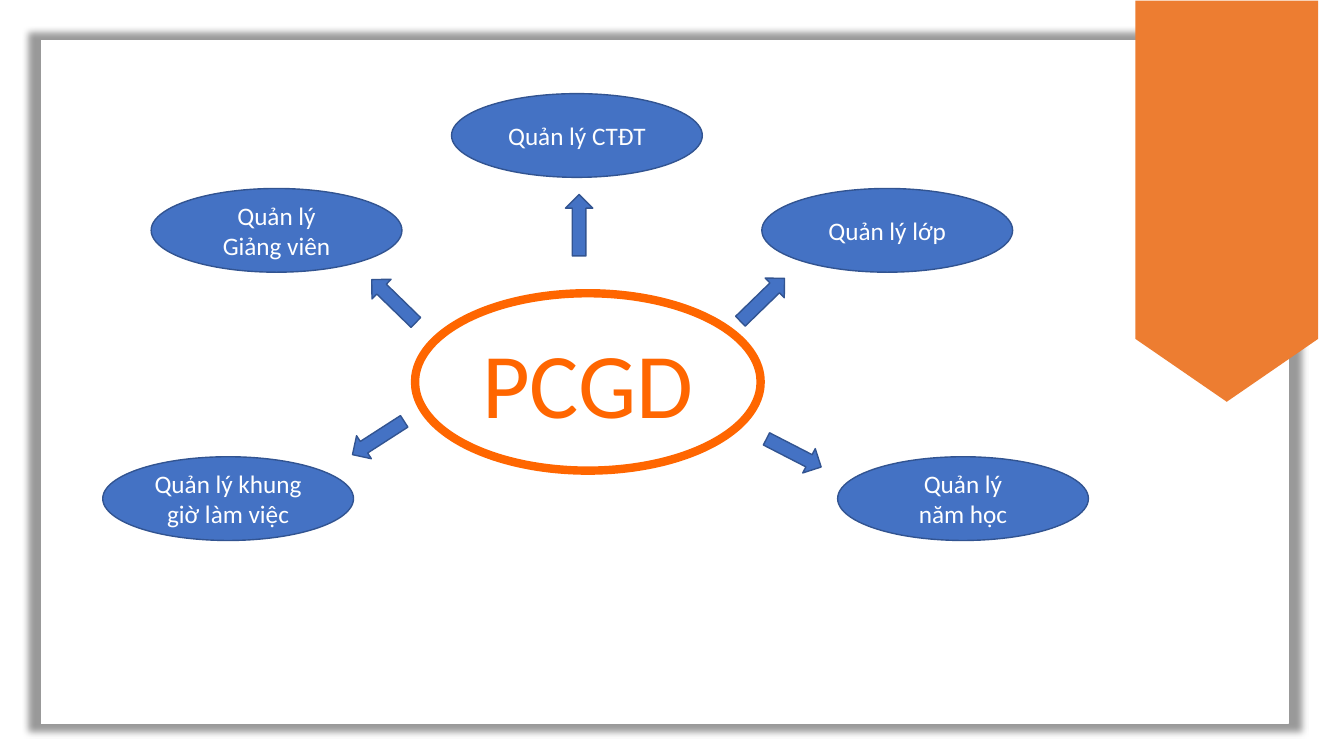
from lxml.etree import SubElement
from pptx import Presentation
from pptx.dml.color import RGBColor
from pptx.enum.shapes import MSO_SHAPE
from pptx.enum.text import MSO_ANCHOR, PP_ALIGN
from pptx.oxml.ns import qn
from pptx.util import Cm, Pt

WHITE = RGBColor(0xFF, 0xFF, 0xFF)
ORANGE = RGBColor(0xED, 0x7D, 0x31)
BRIGHT_ORANGE = RGBColor(0xFF, 0x66, 0x00)
BLUE = RGBColor(0x44, 0x72, 0xC4)
DARK_BLUE = RGBColor(0x32, 0x54, 0x91)

prs = Presentation()
prs.slide_width, prs.slide_height = Cm(33.87), Cm(19.05)
s = prs.slides.add_slide(prs.slide_layouts[6])


def add_shape(kind, left, top, width, height, fill, line=None, weight=1):
    sp = s.shapes.add_shape(kind, Cm(left), Cm(top), Cm(width), Cm(height))
    sp.shadow.inherit = False
    sp.fill.solid()
    sp.fill.fore_color.rgb = fill
    if line is None:
        sp.line.fill.background()
    else:
        sp.line.color.rgb = line
        sp.line.width = Pt(weight)
    return sp


def add_text(sp, lines, size, color):
    tf = sp.text_frame
    tf.word_wrap = True
    tf.vertical_anchor = MSO_ANCHOR.MIDDLE
    for i, line in enumerate(lines):
        p = tf.paragraphs[0] if i == 0 else tf.add_paragraph()
        p.alignment = PP_ALIGN.CENTER
        r = p.add_run()
        r.text = line
        r.font.name = "Calibri"
        r.font.size = Pt(size)
        r.font.color.rgb = color


# White panel with a soft shadow on all sides
panel = add_shape(MSO_SHAPE.RECTANGLE, 1.04, 1.02, 31.42, 17.22, WHITE, WHITE)
effects = panel._element.spPr.find(qn("a:effectLst"))
shadow = SubElement(effects, qn("a:outerShdw"), blurRad=str(Pt(5)), sx="102000",
                    sy="102000", algn="ctr", rotWithShape="0")
black = SubElement(shadow, qn("a:srgbClr"), val="000000")
SubElement(black, qn("a:alpha"), val="40000")

# Orange ribbon
ribbon = add_shape(MSO_SHAPE.PENTAGON, 25.86, 2.77, 10.11, 4.6, ORANGE)
ribbon.adjustments[0] = 0.344
ribbon.rotation = 90

# Central ellipse
center = add_shape(MSO_SHAPE.OVAL, 10.46, 7.39, 8.71, 4.47, WHITE, BRIGHT_ORANGE, 6)
add_text(center, ["PCGD"], 66, BRIGHT_ORANGE)

# Topics: left, top, lines
topics = [
    (11.38, 2.36, ["Quản lý CTĐT"]),
    (3.81, 4.75, ["Quản lý", "Giảng viên"]),
    (19.2, 4.75, ["Quản lý lớp"]),
    (2.59, 11.51, ["Quản lý khung giờ làm việc"]),
    (21.11, 11.51, ["Quản lý", "năm học"]),
]
for left, top, lines in topics:
    topic = add_shape(MSO_SHAPE.OVAL, left, top, 6.32, 2.11, BLUE, DARK_BLUE)
    add_text(topic, lines, 18, WHITE)

# Arrows from the centre to the topics: left, top, rotation
arrows = [
    (14.25, 4.9, 0),
    (9.58, 6.81, 314.2),
    (18.87, 6.78, 45.8),
    (19.66, 10.64, 117.2),
    (9.19, 10.26, 237.2),
]
for left, top, rotation in arrows:
    arrow = add_shape(MSO_SHAPE.UP_ARROW, left, top, 0.69, 1.55, BLUE, DARK_BLUE)
    arrow.rotation = rotation

prs.save("out.pptx")
